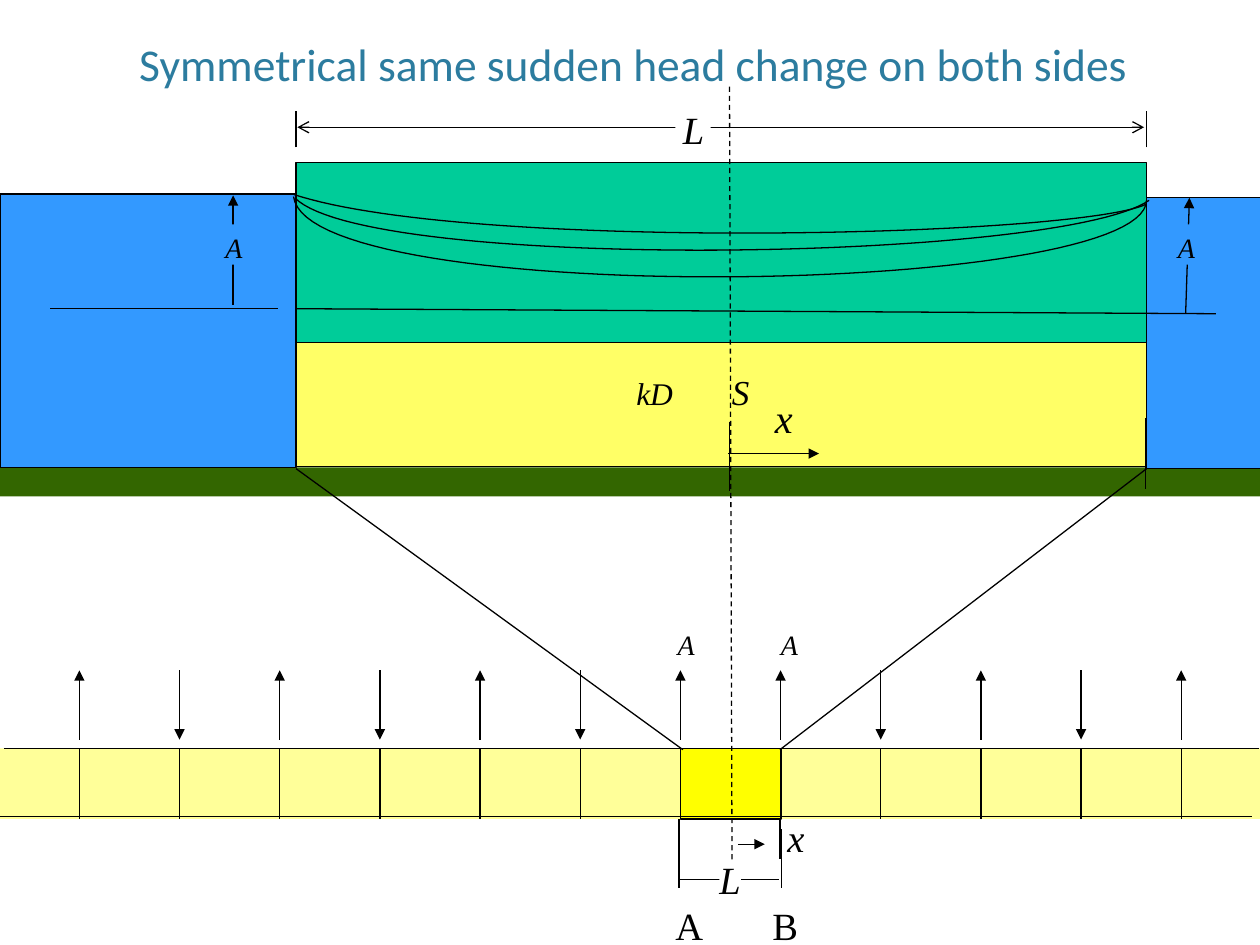
import pptx
import pptx.util
import pptx.dml.color
import pptx.enum.dml
import pptx.enum.shapes
import pptx.enum.text
from lxml import etree
from pptx.util import Inches, Pt

HUES = {
    "ink": "000000", "paper": "FFFFFF", "title": "2C7C9F", "water": "3399FF",
    "soil": "00CC99", "sand": "FFFF66", "base": "336600", "band": "FFFF99",
    "cell": "FFFF00",
}
RGB = {name: pptx.dml.color.RGBColor.from_string(hue) for name, hue in HUES.items()}
THIN = Pt(0.75)
RECT = pptx.enum.shapes.MSO_SHAPE.RECTANGLE
ALIGN = pptx.enum.text.PP_ALIGN
ANCHOR = pptx.enum.text.MSO_ANCHOR

deck = pptx.Presentation()
deck.slide_width, deck.slide_height = Inches(10), Inches(7.5)
slide = deck.slides.add_slide(deck.slide_layouts[5])
shapes = slide.shapes


def write(shape, text, size=22, font="Times New Roman", hue="ink", italic=True,
          align=ALIGN.LEFT, anchor=ANCHOR.TOP, wrap=False, pad=(0, 0, 0, 0)):
    frame = shape.text_frame
    frame.word_wrap = wrap
    frame.vertical_anchor = anchor
    (frame.margin_left, frame.margin_top,
     frame.margin_right, frame.margin_bottom) = [Inches(gap) for gap in pad]
    frame.text = text
    para = frame.paragraphs[0]
    para.alignment = align
    para.font.size, para.font.name = Pt(size), font
    para.font.italic, para.font.bold = italic, False
    para.font.color.rgb = RGB[hue]


def line(x1, y1, x2, y2, head=None, tail=None, dash=False):
    wire = shapes.add_connector(pptx.enum.shapes.MSO_CONNECTOR.STRAIGHT,
                                Inches(x1), Inches(y1), Inches(x2), Inches(y2))
    wire.line.color.rgb = RGB["ink"]
    wire.line.width = THIN
    if dash:
        wire.line.dash_style = pptx.enum.dml.MSO_LINE.DASH
    props = wire.line._get_or_add_ln()
    for tag, kind in (("headEnd", head), ("tailEnd", tail)):
        if kind:
            etree.SubElement(props, pptx.oxml.ns.qn("a:" + tag), type=kind)
    etree.SubElement(wire._element.spPr, pptx.oxml.ns.qn("a:effectLst"))


# Title
title = shapes.title
title.left, title.top, title.width, title.height = [
    Inches(v) for v in (0.03, 0.12, 10, 0.65)]
write(title, "Symmetrical same sudden head change on both sides", size=26,
      font="Calibri", hue="title", italic=False, align=ALIGN.CENTER,
      anchor=ANCHOR.BOTTOM, wrap=True, pad=(0.1, 0.05, 0.1, 0.05))

# Layers, water on both sides, and the strip of cells
cells, step, top, foot = 0.63, 0.795, 5.94, 6.5
for x, y, w, h, hue, edge in (
    (2.35, 1.29, 6.75, 1.43, "soil", True),
    (2.32, 2.72, 6.78, 0.98, "sand", True),
    (0, 3.71, 10, 0.23, "base", False),
    (0, 1.54, 2.35, 2.17, "water", True),
    (9.1, 1.57, 0.93, 2.15, "water", True),
    (0, top, 10, foot - top, "band", False),
    (5.4, top, 0.8, foot - top, "cell", True),
):
    box = shapes.add_shape(RECT, Inches(x), Inches(y), Inches(w), Inches(h))
    box.shadow.inherit = False
    box.fill.solid()
    box.fill.fore_color.rgb = RGB[hue]
    if edge:
        box.line.color.rgb = RGB["ink"]
        box.line.width = THIN
    else:
        box.line.fill.background()

# Head curves: cubic arcs through four control points
for arc in (
    ((2.33, 1.56), (2.44, 2.45), (9.09, 2.36), (9.1, 1.59)),
    ((2.34, 1.57), (2.92, 2.16), (8.41, 2.08), (9.12, 1.59)),
    ((2.32, 1.54), (3.69, 2), (8.56, 1.88), (9.1, 1.62)),
):
    dots = []
    for i in range(61):
        t = i / 60
        parts = ((1 - t) ** 3, 3 * t * (1 - t) ** 2, 3 * t * t * (1 - t), t ** 3)
        dots.append([Inches(sum(k * p[axis] for k, p in zip(parts, arc)))
                     for axis in (0, 1)])
    pen = shapes.build_freeform(*dots[0])
    pen.add_line_segments(dots[1:], close=False)
    curve = pen.convert_to_shape()
    curve.shadow.inherit = False
    curve.fill.background()
    curve.line.color.rgb = RGB["ink"]
    curve.line.width = THIN

# Cell walls, each with an arrow up (u) or down (d)
for i, way in enumerate("udududuududu"):
    x = cells + i * step
    line(x, top, x, foot)
    ends = (5.87, 5.32) if way == "u" else (5.32, 5.87)
    line(x, ends[0], x, ends[1], tail="triangle")

# Plain lines: water levels, zoom lines, ticks, strip edges
for ends in (
    (0.4, 2.45, 2.21, 2.45), (2.35, 2.45, 9.65, 2.49),
    (5.42, 5.95, 2.35, 3.72), (6.19, 5.95, 9.1, 3.72),
    (2.35, 1.17, 2.35, 0.88), (9.1, 1.17, 9.1, 0.88),
    (9.09, 3.88, 9.09, 3.32), (5.79, 3.35, 5.79, 3.9),
    (5.39, 6.5, 5.39, 7.05), (6.2, 6.58, 6.2, 7.05),
    (6.19, 6.5, 6.19, 6.82), (5.39, 6.98, 6.18, 6.98),
    (0.03, top, 9.99, top), (0, 6.48, 9.94, 6.48),
):
    line(*ends)

# Arrows: width, rises and x axes
line(2.36, 1.01, 9.08, 1.01, head="arrow", tail="arrow")
for ends in ((1.85, 2.42, 1.85, 1.55), (9.41, 2.49, 9.44, 1.57),
             (5.78, 3.6, 6.5, 3.6), (5.86, 6.7, 6.07, 6.7)):
    line(*ends, tail="triangle")

# Labels
inset = (0.1, 0.05, 0, 0)
for text, x, y, w, h, hue, form in (
    ("L", 5.36, 0.83, 0.28, 0.33, "paper", {"pad": (0.06, 0.01, 0, 0)}),
    ("L", 5.71, 6.79, 0.17, 0.37, "paper", {}),
    ("kD", 5.05, 2.97, 0.43, 0.3, None, {"size": 18}),
    ("S", 5.81, 2.94, 0.14, 0.33, None, {"size": 20}),
    ("x", 6.15, 3.12, 0.14, 0.38, None, {"size": 23}),
    ("x", 6.25, 6.46, 0.14, 0.37, None, {}),
    ("A", 5.36, 7.16, 0.22, 0.37, None, {"italic": False}),
    ("B", 6.13, 7.16, 0.21, 0.37, None, {"italic": False}),
    ("A", 1.69, 1.78, 0.24, 0.32, "water", {"size": 16, "wrap": True, "pad": inset}),
    ("A", 9.25, 1.78, 0.24, 0.32, "water", {"size": 16, "wrap": True, "pad": inset}),
    ("A", 5.28, 4.93, 0.24, 0.32, "paper", {"size": 16, "wrap": True, "pad": inset}),
    ("A", 6.1, 4.93, 0.24, 0.32, "paper", {"size": 16, "wrap": True, "pad": inset}),
):
    label = shapes.add_textbox(Inches(x), Inches(y), Inches(w), Inches(h))
    if hue:
        label.fill.solid()
        label.fill.fore_color.rgb = RGB[hue]
    write(label, text, **form)

# Axis of symmetry
line(5.81, 6.82, 5.79, 0.68, dash=True)

deck.save("out.pptx")
